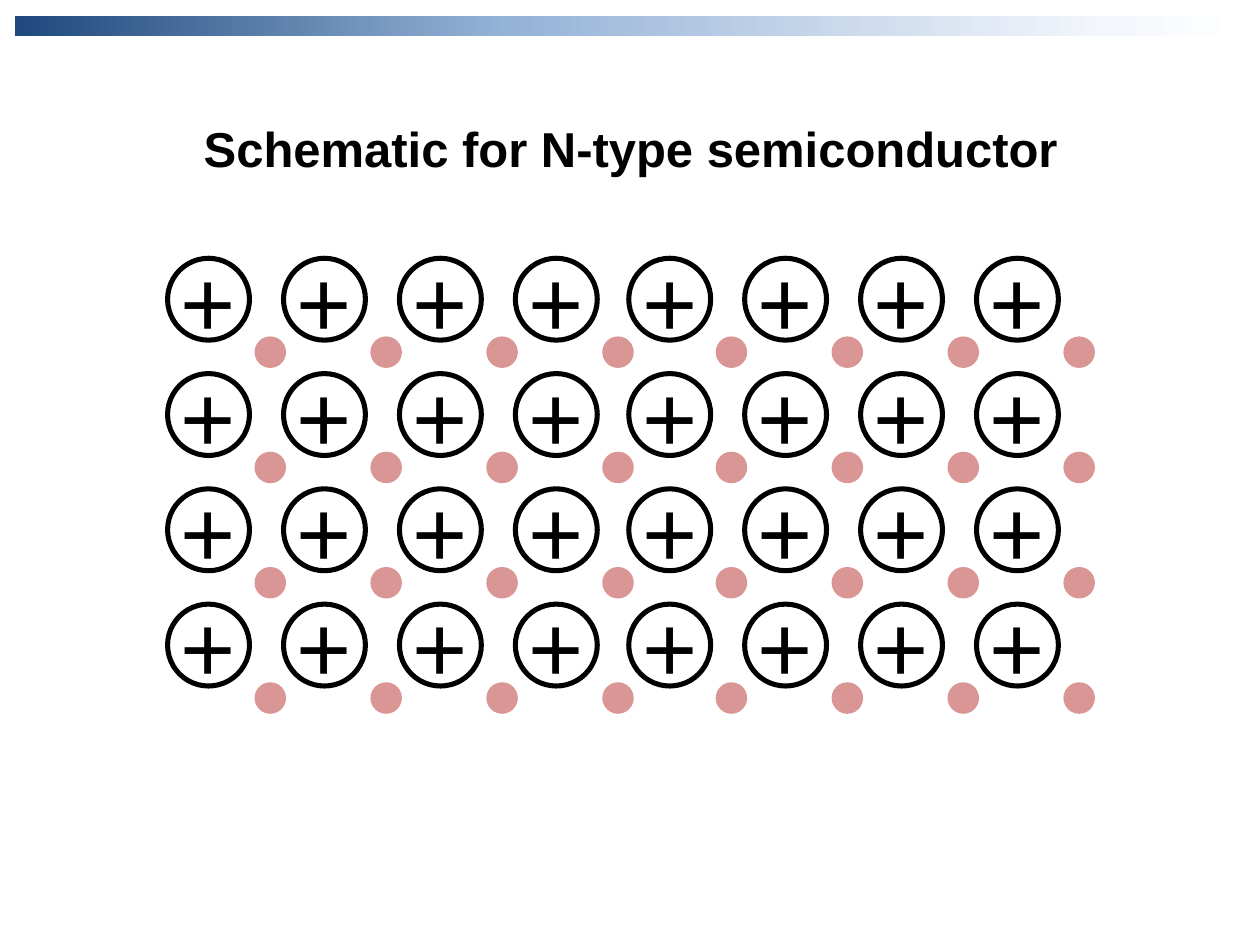
from copy import deepcopy

from pptx import Presentation
from pptx.dml.color import RGBColor
from pptx.enum.shapes import MSO_SHAPE as Shape
from pptx.enum.text import MSO_ANCHOR as Anchor, MSO_AUTO_SIZE as AutoSize, PP_ALIGN as Align
from pptx.oxml.ns import qn
from pptx.util import Inches, Pt

# Content
TITLE = "Schematic for N-type semiconductor"
ION_SIGN = "+"
FONT = "Arial"
COLORS = {"text": "000000", "electron": "D99694"}
BAR_STOPS = [(0, "1F497D"), (40, "95B3D7"), (89, "F4F7FC"), (100, "FFFFFF")]

# Lattice: two halves side by side, each a grid of ions with free electrons
HALF_LEFTS = (1.33, 4.99)
LATTICE_TOP = 2.05
COLUMNS, ROWS = 4, 4
COLUMN_STEP, ROW_STEP = 0.92, 0.915
ION_SIZE, ELECTRON_SIZE = 0.65, 0.21
ELECTRON_DX, ELECTRON_DY = 0.71, 0.64
OUTLINE = 2.88


def rgb(name):
    return RGBColor.from_string(COLORS[name])


def add_circle(shapes, left, top, size, line, fill=None):
    circle = shapes.add_shape(Shape.OVAL, *map(Inches, (left, top, size, size)))
    circle.shadow.inherit = False
    if fill:
        circle.fill.solid()
        circle.fill.fore_color.rgb = rgb(fill)
    else:
        circle.fill.background()
    circle.line.color.rgb = rgb(line)
    circle.line.width = Pt(OUTLINE)
    return circle


def add_ion(shapes, left, top):
    frame = add_circle(shapes, left, top, ION_SIZE, "text").text_frame
    frame.word_wrap = False
    frame.vertical_anchor = Anchor.MIDDLE
    para = frame.paragraphs[0]
    para.text = ION_SIGN
    para.alignment = Align.CENTER
    para.font.name, para.font.size = FONT, Pt(54)
    para.font.color.rgb = rgb("text")


def add_bar(page):
    bar = page.shapes.add_shape(Shape.RECTANGLE, *map(Inches, (0.12, 0.13, 9.76, 0.16)))
    bar.shadow.inherit = False
    bar.line.fill.background()
    bar.fill.gradient()
    bar.fill.gradient_angle = 0
    # Extend the default two stops to the full list
    stop_list = bar.element.spPr.find(qn("a:gradFill")).find(qn("a:gsLst"))
    for _ in range(len(BAR_STOPS) - len(stop_list)):
        stop_list.append(deepcopy(stop_list[0]))
    for stop, (percent, color) in zip(bar.fill.gradient_stops, BAR_STOPS):
        stop.position = percent / 100
        stop.color.rgb = RGBColor.from_string(color)


def add_title(page):
    title = page.shapes.title
    title.left, title.top, title.width, title.height = map(Inches, (0.36, 0.89, 9.29, 0.57))
    title.text_frame.word_wrap = True
    title.text_frame.auto_size = AutoSize.SHAPE_TO_FIT_TEXT
    para = title.text_frame.paragraphs[0]
    para.text = TITLE
    para.alignment = Align.CENTER
    para.font.name, para.font.size, para.font.bold = FONT, Pt(28), True
    para.font.color.rgb = rgb("text")


def add_lattice(page):
    for half_left in HALF_LEFTS:
        half = page.shapes.add_group_shape()
        for column in range(COLUMNS):
            for row in range(ROWS):
                left = half_left + column * COLUMN_STEP
                top = LATTICE_TOP + row * ROW_STEP
                add_ion(half.shapes, left, top)
                add_circle(half.shapes, left + ELECTRON_DX, top + ELECTRON_DY,
                           ELECTRON_SIZE, "electron", "electron")


def main():
    deck = Presentation()
    deck.slide_width, deck.slide_height = Inches(10), Inches(7.5)
    page = deck.slides.add_slide(deck.slide_layouts.get_by_name("Title Only"))
    add_bar(page)
    add_title(page)
    add_lattice(page)
    deck.save("out.pptx")


if __name__ == "__main__":
    main()
